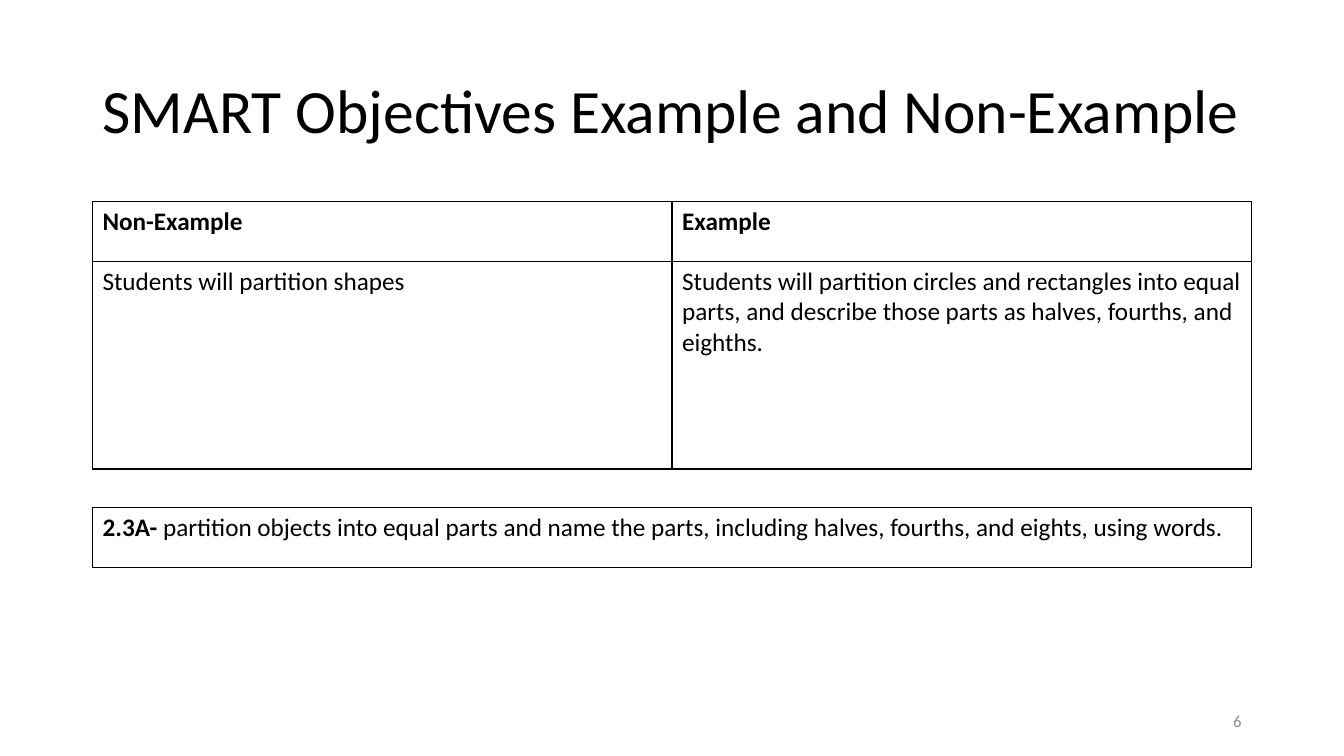
from lxml import etree
from pptx import Presentation
from pptx.dml.color import RGBColor
from pptx.enum.text import MSO_ANCHOR, MSO_AUTO_SIZE, PP_ALIGN
from pptx.oxml import parse_xml
from pptx.oxml.ns import nsdecls, qn
from pptx.util import Cm, Pt

BLACK = RGBColor(0x00, 0x00, 0x00)
WHITE = RGBColor(0xFF, 0xFF, 0xFF)
GRAY = RGBColor(0x8C, 0x8C, 0x8C)
LEFT = PP_ALIGN.LEFT
RIGHT = PP_ALIGN.RIGHT
MIDDLE = MSO_ANCHOR.MIDDLE
NO_AUTOFIT = MSO_AUTO_SIZE.NONE
FONT = "Calibri"
MARGIN = 2.33
CONTENT_WIDTH = 29.21


class SlideBuilder:
    def __init__(self, deck):
        self.page = deck.slides.add_slide(deck.slide_layouts[5])

    def style_span(self, span, size, color=BLACK, bold=False):
        span.font.name = FONT
        span.font.size = Pt(size)
        span.font.bold = bold
        span.font.color.rgb = color

    def title(self, text, top, height):
        box = self.page.shapes.title
        box.left, box.top = Cm(MARGIN), Cm(top)
        box.width, box.height = Cm(CONTENT_WIDTH), Cm(height)
        frame = box.text_frame
        frame.text = text
        frame.word_wrap = True
        frame.auto_size = NO_AUTOFIT
        frame.vertical_anchor = MIDDLE
        para = frame.paragraphs[0]
        para.alignment = LEFT
        para.line_spacing = 0.9
        self.style_span(para.runs[0], 44)

    def page_number(self, text, left, top, width, height):
        box = self.page.shapes.add_textbox(Cm(left), Cm(top), Cm(width), Cm(height))
        frame = box.text_frame
        frame.text = text
        frame.word_wrap = True
        frame.vertical_anchor = MIDDLE
        para = frame.paragraphs[0]
        para.alignment = RIGHT
        self.style_span(para.runs[0], 12, GRAY)

    def border_cell(self, cell):
        properties = cell._tc.get_or_add_tcPr()
        for position, side in enumerate(("lnL", "lnR", "lnT", "lnB")):
            line = parse_xml(f'<a:{side} {nsdecls("a")} w="{Pt(1)}"/>')
            fill = etree.SubElement(line, qn("a:solidFill"))
            etree.SubElement(fill, qn("a:srgbClr"), val=str(BLACK))
            properties.insert(position, line)

    def table(self, rows, top, row_heights):
        frame = self.page.shapes.add_table(
            len(rows), len(rows[0]), Cm(MARGIN), Cm(top),
            Cm(CONTENT_WIDTH), Cm(sum(row_heights)))
        table = frame.table
        table.first_row = False
        table.horz_banding = False
        for row, height in zip(table.rows, row_heights):
            row.height = Cm(height)
        for row, contents in zip(table.rows, rows):
            for cell, spans in zip(row.cells, contents):
                cell.fill.solid()
                cell.fill.fore_color.rgb = WHITE
                self.border_cell(cell)
                para = cell.text_frame.paragraphs[0]
                for text, bold in spans:
                    span = para.add_run()
                    span.text = text
                    self.style_span(span, 18, bold=bold)


def main():
    deck = Presentation()
    deck.slide_width, deck.slide_height = Cm(33.87), Cm(19.05)
    builder = SlideBuilder(deck)
    builder.title("SMART Objectives Example and Non-Example", 1.01, 3.68)
    builder.table([
        [[("Non-Example", True)], [("Example", True)]],
        [[("Students will partition shapes", False)],
         [("Students will partition circles and rectangles into equal parts, "
           "and describe those parts as halves, fourths, and eighths.", False)]],
    ], 5.08, [1.5, 5.24])
    builder.table([
        [[("2.3A- ", True),
          ("partition objects into equal parts and name the parts, including "
           "halves, fourths, and eights, using words.", False)]],
    ], 12.78, [1.52])
    builder.page_number("6", 23.92, 17.66, 7.62, 1.01)
    deck.save("out.pptx")


if __name__ == "__main__":
    main()
